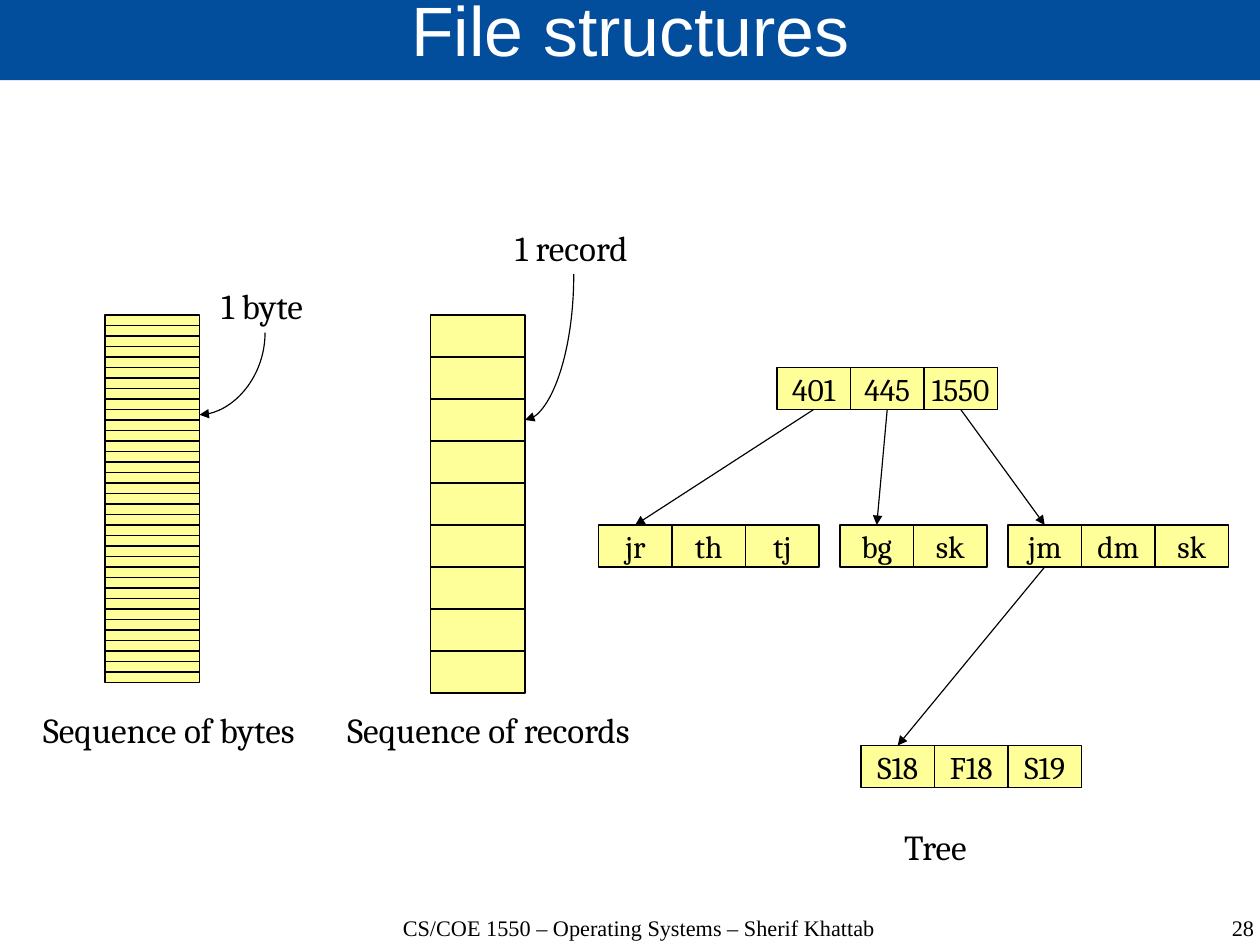
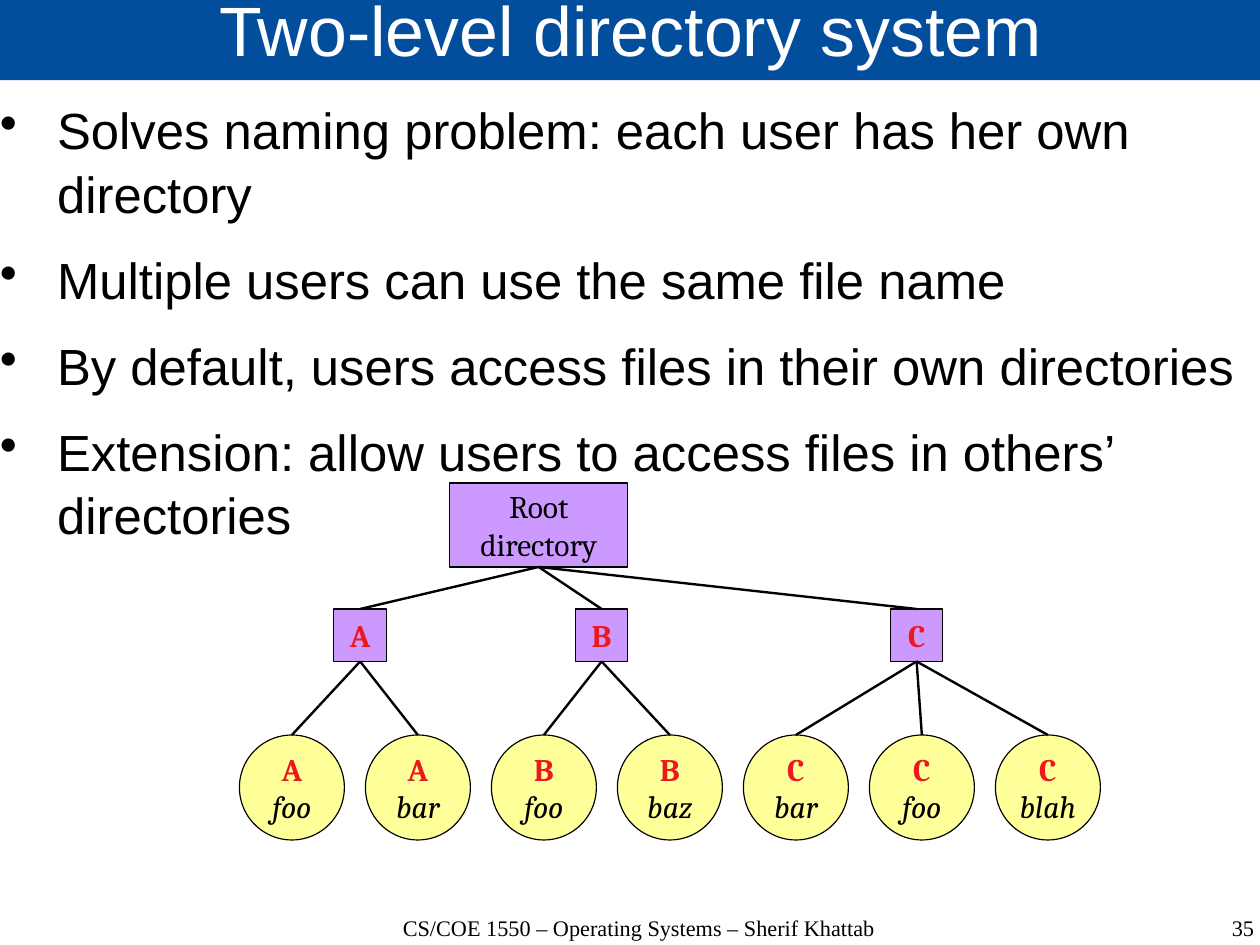
import pptx
import pptx.util
import pptx.dml.color
import pptx.enum.shapes
import pptx.enum.text
import pptx.oxml.ns
from lxml import etree

Cm = pptx.util.Cm
Pt = pptx.util.Pt
RGBColor = pptx.dml.color.RGBColor
SHAPE = pptx.enum.shapes.MSO_SHAPE
CONNECTOR = pptx.enum.shapes.MSO_CONNECTOR
ALIGN = pptx.enum.text.PP_ALIGN
ANCHOR = pptx.enum.text.MSO_ANCHOR
qn = pptx.oxml.ns.qn

BLUE = RGBColor(0x02, 0x4E, 0x9D)
YELLOW = RGBColor(0xFF, 0xFF, 0x99)
PURPLE = RGBColor(0xCC, 0x99, 0xFF)
RED = RGBColor(0xED, 0x18, 0x1E)
BLACK = RGBColor(0, 0, 0)
WHITE = RGBColor(0xFF, 0xFF, 0xFF)

FOOTER = "CS/COE 1550 – Operating Systems – Sherif Khattab"
GRID = 0.7 / 3

STACK_TOP, STACK_WIDTH = 30, 9
STACKS = [
    {"left": 10, "rows": 35, "row_height": 1, "marked": 9,
     "note": ("1 byte", 4.67, 6.2, 2.44),
     "caption": ("Sequence of bytes", 0.71, 15.62, 6.22)},
    {"left": 41, "rows": 9, "row_height": 4, "marked": 2,
     "note": ("1 record", 11.2, 4.9, 3.1),
     "caption": ("Sequence of records", 7.47, 15.62, 6.88)},
]
TREE_CAPTION = ("Tree", 19.84, 18.21, 1.93)
TREE_NODES = {
    "courses": (74, 35, ["401", "445", "1550"]),
    "course 401": (57, 50, ["jr", "th", "tj"]),
    "course 445": (80, 50, ["bg", "sk"]),
    "course 1550": (96, 50, ["jm", "dm", "sk"]),
    "terms": (82, 71, ["S18", "F18", "S19"]),
}
TREE_ARROWS = [
    ("courses", 0, "course 401"),
    ("courses", 1, "course 445"),
    ("courses", 2, "course 1550"),
    ("course 1550", 0, "terms"),
]

BULLETS = [
    "Solves naming problem: each user has her own directory",
    "Multiple users can use the same file name",
    "By default, users access files in their own directories",
    "Extension: allow users to access files in others’ directories",
]
USERS = [
    ("A", 31.8, ["foo", "bar"]),
    ("B", 54.8, ["foo", "baz"]),
    ("C", 84.8, ["bar", "foo", "blah"]),
]
FIRST_FILE_LEFT, FILE_STEP = 22.8, 12


def grid(*units):
    return [Cm(unit * GRID) for unit in units]


def style_font(font, name, size, color):
    font.name = name
    font.size = Pt(size)
    font.color.rgb = color


def add_text(slide, text, box, name, size, align=ALIGN.LEFT, spacing=None, inset=True):
    shape = slide.shapes.add_textbox(*box)
    frame = shape.text_frame
    frame.word_wrap = not inset
    if not inset:
        frame.margin_left = frame.margin_right = frame.margin_top = frame.margin_bottom = 0
    frame.text = text
    for paragraph in frame.paragraphs:
        paragraph.alignment = align
        paragraph.line_spacing = spacing
        style_font(paragraph.font, name, size, BLACK)
    return shape


def add_label(slide, text, left, top, width):
    box = Cm(left), Cm(top), Cm(width), Cm(1.19)
    return add_text(slide, text, box, "Cambria", 22.1)


def add_box(slide, kind, box, fill, text=""):
    shape = slide.shapes.add_shape(kind, *grid(*box))
    shape.shadow.inherit = False
    shape.fill.solid()
    shape.fill.fore_color.rgb = fill
    shape.line.color.rgb = BLACK
    shape.line.width = Pt(0.75)
    if text:
        frame = shape.text_frame
        frame.word_wrap = False
        frame.vertical_anchor = ANCHOR.MIDDLE
        paragraph = frame.paragraphs[0]
        paragraph.text = text
        paragraph.alignment = ALIGN.CENTER
        for run in paragraph.runs:
            style_font(run.font, "Cambria", 19.8, BLACK)
    return shape


def mark_owner(shape):
    font = shape.text_frame.paragraphs[0].runs[0].font
    font.bold = True
    font.color.rgb = RED


def style_line(connector, width, arrow):
    connector.line.color.rgb = BLACK
    connector.line.width = Pt(width)
    if arrow:
        etree.SubElement(connector.line._get_or_add_ln(), qn("a:tailEnd"), type="triangle")
    etree.SubElement(connector._element.spPr, qn("a:effectLst"))


def join(slide, upper, lower, width, arrow=False):
    connector = slide.shapes.add_connector(CONNECTOR.STRAIGHT, 0, 0, 0, 0)
    connector.begin_connect(upper, 2)
    connector.end_connect(lower, 0)
    style_line(connector, width, arrow)


def add_curved_arrow(slide, note, row):
    start_x, start_y = note.left + note.width // 2, note.top + note.height
    end_x, end_y = row.left + row.width, row.top + row.height // 2
    middle_x, middle_y = (start_x + end_x) // 2, (start_y + end_y) // 2
    half_width, half_height = (end_y - start_y) // 2, (start_x - end_x) // 2
    connector = slide.shapes.add_connector(
        CONNECTOR.CURVE, middle_x - half_width, middle_y - half_height,
        middle_x + half_width, middle_y + half_height)
    connector.rotation = 90
    connector._element.spPr.find(qn("a:prstGeom")).set("prst", "curvedConnector2")
    style_line(connector, 0.75, True)


def add_slide(presentation, title, number):
    slide = presentation.slides.add_slide(presentation.slide_layouts[6])
    band = slide.shapes.add_shape(SHAPE.RECTANGLE, 0, Cm(-0.05), Cm(28.04), Cm(1.83))
    band.shadow.inherit = False
    band.fill.solid()
    band.fill.fore_color.rgb = BLUE
    band.line.fill.background()
    frame = band.text_frame
    frame.margin_left = frame.margin_right = frame.margin_top = frame.margin_bottom = 0
    frame.vertical_anchor = ANCHOR.MIDDLE
    frame.text = title
    paragraph = frame.paragraphs[0]
    paragraph.alignment = ALIGN.CENTER
    paragraph.line_spacing = 0.69
    style_font(paragraph.font, "Arial", 44, WHITE)
    for text, left, width, align in [(FOOTER, 7.8, 12.8, ALIGN.CENTER),
                                     (str(number), 21.44, 6.43, ALIGN.RIGHT)]:
        box = Cm(left), Cm(20.35), Cm(width), Cm(1.4)
        add_text(slide, text, box, "Times New Roman", 14, align, 0.96, inset=False)
    return slide


def add_bullets(slide):
    box = Cm(0), Cm(2.15), Cm(28.04), Cm(18.08)
    shape = add_text(slide, "\n".join(BULLETS), box, "Arial", 32, spacing=1.04, inset=False)
    for paragraph in shape.text_frame.paragraphs:
        paragraph.space_after = Pt(14.2)
        properties = paragraph._p.get_or_add_pPr()
        properties.set("marL", str(Cm(1.27)))
        properties.set("indent", str(Cm(-1.27)))
        bullet = etree.Element(qn("a:buChar"), char="•")
        properties.find(qn("a:defRPr")).addprevious(bullet)


def build_file_structures(presentation):
    slide = add_slide(presentation, "File structures", 28)
    for stack in STACKS:
        height = stack["row_height"]
        rows = [add_box(slide, SHAPE.RECTANGLE,
                        (stack["left"], STACK_TOP + index * height, STACK_WIDTH, height), YELLOW)
                for index in range(stack["rows"])]
        add_label(slide, *stack["caption"])
        note = add_label(slide, *stack["note"])
        add_curved_arrow(slide, note, rows[stack["marked"]])
    cells = {
        name: [add_box(slide, SHAPE.RECTANGLE, (left + 7 * index, top, 7, 4), YELLOW, text)
               for index, text in enumerate(texts)]
        for name, (left, top, texts) in TREE_NODES.items()
    }
    for parent, index, child in TREE_ARROWS:
        join(slide, cells[parent][index], cells[child][0], 0.75, arrow=True)
    add_label(slide, *TREE_CAPTION)


def build_directory_system(presentation):
    slide = add_slide(presentation, "Two-level directory system", 35)
    add_bullets(slide)
    root = add_box(slide, SHAPE.RECTANGLE, (42.8, 46, 17, 8), PURPLE, "Root\ndirectory")
    file_left = FIRST_FILE_LEFT
    for user, left, files in USERS:
        directory = add_box(slide, SHAPE.RECTANGLE, (left, 58, 5, 5), PURPLE, user)
        mark_owner(directory)
        join(slide, root, directory, 1.5)
        for name in files:
            circle = add_box(slide, SHAPE.OVAL, (file_left, 70, 10, 10), YELLOW, f"{user}\n{name}")
            mark_owner(circle)
            circle.text_frame.paragraphs[0].runs[1].font.italic = True
            join(slide, directory, circle, 1.5)
            file_left += FILE_STEP


def main():
    presentation = pptx.Presentation()
    presentation.slide_width = Cm(28)
    presentation.slide_height = Cm(21)
    build_file_structures(presentation)
    build_directory_system(presentation)
    presentation.save("out.pptx")


if __name__ == "__main__":
    main()
